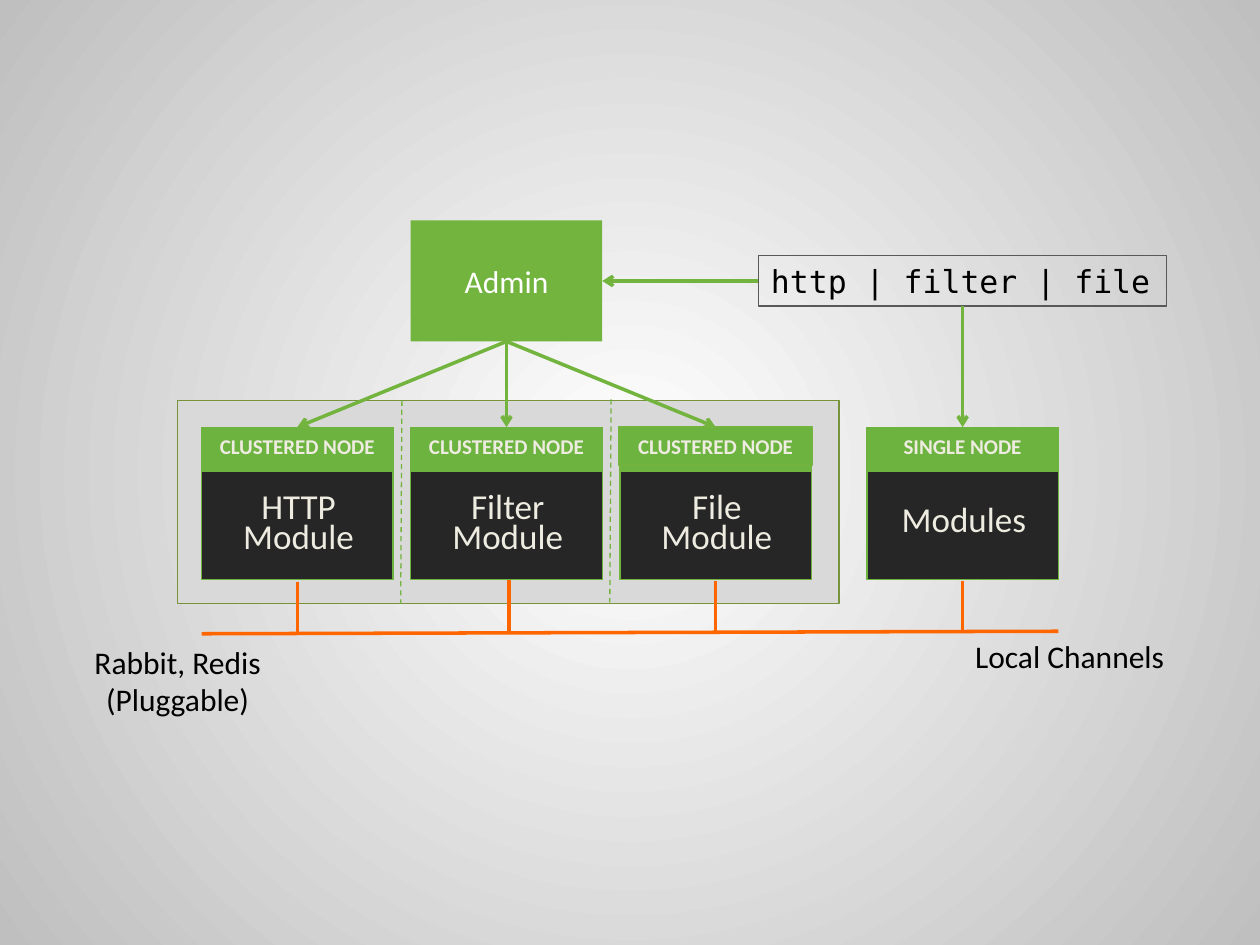
from lxml.etree import SubElement
from pptx import Presentation
from pptx.dml.color import RGBColor
from pptx.enum.dml import MSO_LINE
from pptx.enum.shapes import MSO_CONNECTOR, MSO_SHAPE
from pptx.enum.text import MSO_ANCHOR, PP_ALIGN
from pptx.oxml.ns import qn
from pptx.util import Inches, Pt

WHITE = RGBColor(0xFF, 0xFF, 0xFF)
BLACK = RGBColor(0x00, 0x00, 0x00)
SILVER = RGBColor(0xBF, 0xBF, 0xBF)
PALE_GRAY = RGBColor(0xD9, 0xD9, 0xD9)
MID_GRAY = RGBColor(0x59, 0x59, 0x59)
CHARCOAL = RGBColor(0x26, 0x26, 0x26)
CREAM = RGBColor(0xEE, 0xEC, 0xE1)
OLIVE = RGBColor(0x77, 0x93, 0x3C)
GREEN = RGBColor(0x6D, 0xB3, 0x3F)
LEAF = RGBColor(0x72, 0xB4, 0x3E)
ORANGE = RGBColor(0xFF, 0x66, 0x00)

# Content: left edge, header, module, module top, module height, outline, header outline
NODES = [
    (1.60, "CLUSTERED NODE", "HTTP Module", 3.89, 0.59, GREEN, None),
    (3.26, "CLUSTERED NODE", "Filter Module", 3.89, 0.59, GREEN, None),
    (4.92, "CLUSTERED NODE", "File Module", 3.89, 0.59, LEAF, LEAF),
    (6.88, "SINGLE NODE", "Modules", 3.99, 0.35, GREEN, None),
]
NODE_TOP, NODE_WIDTH, NODE_HEIGHT = 3.39, 1.52, 1.21
CENTERS = [round(node[0] + NODE_WIDTH / 2, 2) for node in NODES]
ADMIN = (3.26, 1.75, NODE_WIDTH, 0.96)
ADMIN_BOTTOM = (CENTERS[1], 2.71)
DIVIDERS = [((3.19, 3.18), (3.18, 4.79)), ((4.85, 3.17), (4.84, 4.78))]
ARROWS = [(ADMIN_BOTTOM, (center, NODE_TOP)) for center in CENTERS[:3]]
ARROWS += [((6.02, 2.23), (4.78, 2.23)), ((7.64, 2.43), (7.64, NODE_TOP))]
BUS = [((1.6, 5.03), (8.4, 5.01))]
BUS += [((x, top), (x, 5.02)) for x, top in
        [(2.36, 4.62), (4.04, 4.6), (5.68, 4.61), (7.64, 4.61)]]
CAPTIONS = [
    ((0.64, 5.05, 1.54, 0.71), ["Rabbit, Redis", "(Pluggable)"], PP_ALIGN.CENTER),
    ((7.64, 5.01, 1.72, 0.4), ["Local Channels"], PP_ALIGN.LEFT),
]

HEADER_FONT = {"name": "Calibri", "size": Pt(12), "bold": True}
MODULE_FONT = {"name": "Calibri", "size": Pt(20)}
LABEL_FONT = {"name": "Calibri", "size": Pt(18)}
CODE_FONT = {"name": "DejaVu Sans Mono", "size": Pt(18)}


def write(box, lines, font, color, align=PP_ALIGN.CENTER, wrap=True,
          anchor=MSO_ANCHOR.TOP, spacing=None):
    frame = box.text_frame
    frame.word_wrap, frame.vertical_anchor = wrap, anchor
    for index, line in enumerate(lines):
        para = frame.add_paragraph() if index else frame.paragraphs[0]
        para.alignment, para.line_spacing = align, spacing
        span = para.add_run()
        span.text = line
        for key, value in font.items():
            setattr(span.font, key, value)
        span.font.color.rgb = color


def add_text(shapes, place, lines, font, color, **layout):
    box = shapes.add_textbox(*map(Inches, place))
    write(box, lines, font, color, **layout)


def add_box(shapes, place, fill=None, outline=None):
    box = shapes.add_shape(MSO_SHAPE.RECTANGLE, *map(Inches, place))
    box.shadow.inherit = False
    if fill is None:
        box.fill.background()
    else:
        box.fill.solid()
        box.fill.fore_color.rgb = fill
    if outline is None:
        box.line.fill.background()
    else:
        box.line.color.rgb = outline
        box.line.width = Pt(0.75)
    return box


def add_line(shapes, ends, color, width, dash=None, arrow=False):
    start, end = ends
    line = shapes.add_connector(MSO_CONNECTOR.STRAIGHT, *map(Inches, start + end))
    line.line.color.rgb = color
    line.line.width = Pt(width)
    if dash:
        line.line.dash_style = dash
    if arrow:
        SubElement(line.line._get_or_add_ln(), qn("a:tailEnd"), type="arrow")
    SubElement(line._element.spPr, qn("a:effectLst"))


def paint_background(slide):
    fill = slide.background.fill
    fill.gradient()
    for stop, color, position in zip(fill.gradient_stops, (WHITE, SILVER), (0, 1)):
        stop.color.rgb = color
        stop.position = position
    # Radial shading from the centre
    gradient = slide._element.find(".//" + qn("a:gradFill"))
    gradient.remove(gradient.find(qn("a:lin")))
    shade = SubElement(gradient, qn("a:path"), path="circle")
    SubElement(shade, qn("a:fillToRect"), l="50000", t="50000", r="50000", b="50000")


def add_node(shapes, left, header, module, module_top, module_height, outline,
             header_outline):
    add_box(shapes, (left, NODE_TOP, NODE_WIDTH, NODE_HEIGHT), CHARCOAL, outline)
    add_box(shapes, (left, NODE_TOP, NODE_WIDTH, 0.35), GREEN, outline)
    label = add_box(shapes, (left - 0.01, NODE_TOP, 1.54, 0.3), outline=header_outline)
    write(label, [header], HEADER_FONT, CREAM)
    add_text(shapes, (left + 0.14, module_top, 1.26, module_height), [module],
             MODULE_FONT, CREAM, spacing=0.7)


def main():
    deck = Presentation()
    deck.slide_width, deck.slide_height = Inches(10), Inches(7.5)
    page = deck.slides.add_slide(deck.slide_layouts[6])
    paint_background(page)
    shapes = page.shapes

    # Cluster and nodes
    add_box(shapes, (1.41, 3.18, 5.25, 1.61), PALE_GRAY, OLIVE)
    for node in NODES:
        add_node(shapes, *node)
    for ends in DIVIDERS:
        add_line(shapes, ends, LEAF, 0.75, dash=MSO_LINE.DASH)

    # Admin and stream definition
    admin = add_box(shapes, ADMIN, LEAF)
    write(admin, ["Admin"], LABEL_FONT, WHITE, anchor=MSO_ANCHOR.MIDDLE)
    stream = add_box(shapes, (6.02, 2.03, 3.24, 0.4), outline=MID_GRAY)
    write(stream, ["http | filter | file"], CODE_FONT, BLACK,
          align=PP_ALIGN.LEFT, wrap=False)
    for ends in ARROWS:
        add_line(shapes, ends, LEAF, 2, arrow=True)

    # Message bus and captions
    for ends in BUS:
        add_line(shapes, ends, ORANGE, 2)
    for place, lines, align in CAPTIONS:
        add_text(shapes, place, lines, LABEL_FONT, BLACK, align=align, wrap=False)

    deck.save("out.pptx")


if __name__ == "__main__":
    main()
